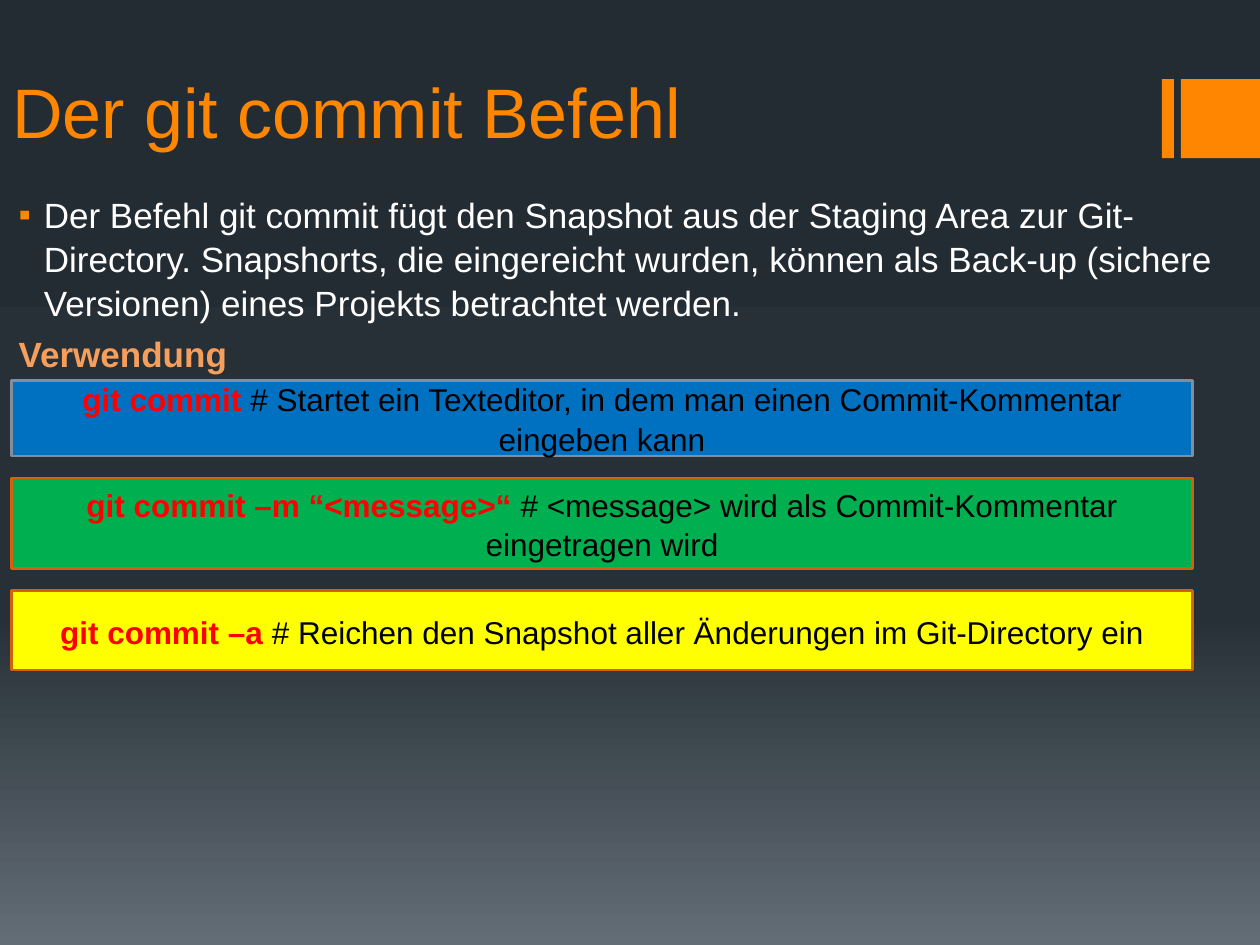
from copy import deepcopy

from lxml import etree
from pptx import Presentation
from pptx.dml.color import RGBColor
from pptx.enum.shapes import MSO_SHAPE
from pptx.enum.text import MSO_ANCHOR, PP_ALIGN
from pptx.oxml.ns import qn
from pptx.util import Pt

RECTANGLE = MSO_SHAPE.RECTANGLE
BOTTOM, MIDDLE, TOP = MSO_ANCHOR.BOTTOM, MSO_ANCHOR.MIDDLE, MSO_ANCHOR.TOP
LEFT, CENTER = PP_ALIGN.LEFT, PP_ALIGN.CENTER

FONT = "Arial"
LINE_SPACING = 1.05
COLORS = {
    "orange": "FF8600", "peach": "F69E5C", "white": "FFFFFF",
    "black": "000000", "red": "FF0000", "blue": "0070C0",
    "green": "00B050", "yellow": "FFFF00", "gray": "838D9B", "rust": "D2610C",
}
BACKDROP = [(0, "242C33"), (0.65, "273037"), (1, "636D76")]

# Command, comment, fill, line, height
COMMANDS = [
    ("git commit ",
     "# Startet ein Texteditor, in dem man einen Commit-Kommentar eingeben kann",
     "blue", "gray", 43.2),
    ("git commit –m “<message>“ ",
     "# <message> wird als Commit-Kommentar eingetragen wird",
     "green", "rust", 51.8),
    ("git commit –a ",
     "# Reichen den Snapshot aller Änderungen im Git-Directory ein",
     "yellow", "rust", 45.4),
]


def color(name):
    return RGBColor.from_string(COLORS[name])


def set_font(font, size, name, bold=False):
    font.name, font.size, font.bold = FONT, Pt(size), bold
    font.color.rgb = color(name)


def add_rect(page, left, top, width, height, fill, line=None):
    shape = page.shapes.add_shape(
        RECTANGLE, Pt(left), Pt(top), Pt(width), Pt(height))
    shape.shadow.inherit = False
    shape.fill.solid()
    shape.fill.fore_color.rgb = color(fill)
    if line:
        shape.line.color.rgb = color(line)
        shape.line.width = Pt(1.5)
    else:
        shape.line.fill.background()
    return shape


def add_text_frame(page, left, top, width, height, anchor):
    box = page.shapes.add_textbox(Pt(left), Pt(top), Pt(width), Pt(height))
    frame = box.text_frame
    frame.word_wrap = True
    frame.vertical_anchor = anchor
    return frame


def set_indent(para, margin, hanging=0, bullet=None):
    props = para._p.get_or_add_pPr()
    props.set("marL", str(Pt(margin)))
    props.set("indent", str(-Pt(hanging)))
    if bullet:
        tint = etree.SubElement(props, qn("a:buClr"))
        etree.SubElement(tint, qn("a:srgbClr"), val=COLORS["orange"])
        etree.SubElement(props, qn("a:buFont"), typeface=FONT)
        etree.SubElement(props, qn("a:buChar"), char=bullet)
    else:
        etree.SubElement(props, qn("a:buNone"))


def paint_background(page):
    fill = page.background.fill
    fill.gradient()
    fill.gradient_angle = 270
    first_stop = next(page.element.iter(qn("a:gs")))
    first_stop.addnext(deepcopy(first_stop))
    for stop, (position, tone) in zip(fill.gradient_stops, BACKDROP):
        stop.position = position
        stop.color.rgb = RGBColor.from_string(tone)


def add_corner_mark(page, left, top, width, height):
    # Thin bar, then a square that reaches the slide edge
    add_rect(page, left, top, 6.8, height, "orange")
    add_rect(page, left + width - height, top, height, height, "orange")


def add_title(page, left, top, width, height):
    para = add_text_frame(page, left, top, width, height, BOTTOM).paragraphs[0]
    para.text = "Der git commit Befehl"
    set_font(para.font, 40, "orange")


def add_body(page, left, top, width, height):
    frame = add_text_frame(page, left, top, width, height, TOP)
    intro = frame.paragraphs[0]
    intro.text = (
        "Der Befehl git commit fügt den Snapshot aus der Staging Area zur "
        "Git-Directory. Snapshorts, die eingereicht wurden, können als "
        "Back-up (sichere Versionen) eines Projekts betrachtet werden.")
    usage = frame.add_paragraph()
    usage.text = "Verwendung"
    for para in (intro, usage):
        para.alignment = LEFT
        para.line_spacing = LINE_SPACING
        para.space_before = Pt(4)
    set_indent(intro, 18, 14.4, "▪")
    set_indent(usage, 3.6)
    set_font(intro.font, 20, "white")
    set_font(usage.font, 20, "peach", bold=True)


def add_commands(page, left, top, width, gap):
    for command, comment, fill, line, height in COMMANDS:
        frame = add_rect(page, left, top, width, height, fill, line).text_frame
        frame.word_wrap = True
        frame.vertical_anchor = MIDDLE
        para = frame.paragraphs[0]
        para.alignment = CENTER
        para.line_spacing = LINE_SPACING
        for text, name, bold in ((command, "red", True),
                                 (comment, "black", False)):
            span = para.add_run()
            span.text = text
            set_font(span.font, 18, name, bold)
        top += height + gap


def main():
    deck = Presentation()
    deck.slide_width, deck.slide_height = Pt(720), Pt(540)
    page = deck.slides.add_slide(deck.slide_layouts[6])
    paint_background(page)
    add_corner_mark(page, 664, 45.2, 56, 45.2)
    add_title(page, 0, 0, 576, 90.7)
    add_body(page, 0, 105.8, 720, 434.2)
    add_commands(page, 6.6, 217.4, 674.8, 12.6)
    deck.save("out.pptx")


if __name__ == "__main__":
    main()
